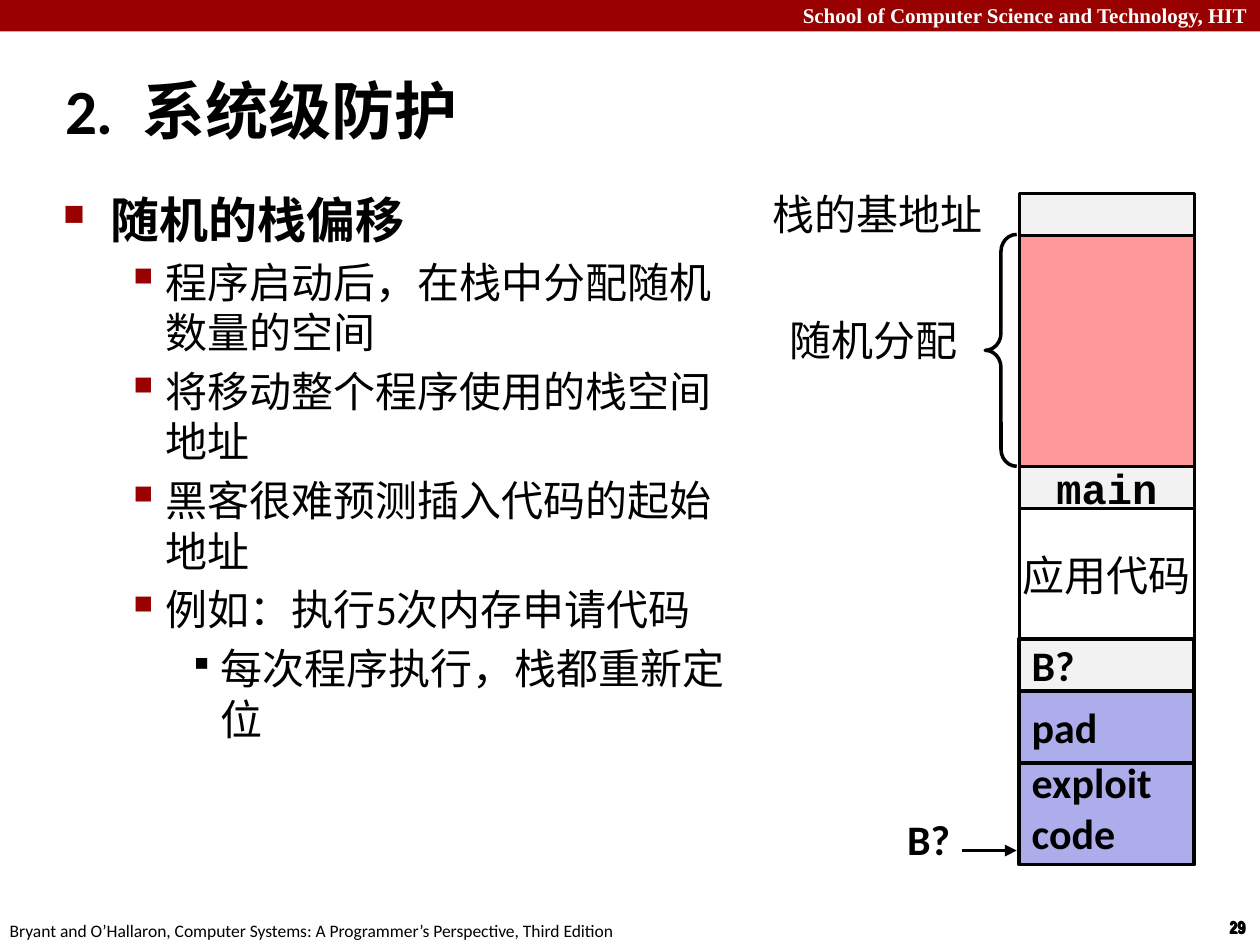
import pptx
import pptx.dml.color
import pptx.enum.shapes
import pptx.enum.text
import pptx.oxml
import pptx.oxml.ns
import pptx.util

Pt = pptx.util.Pt
ALIGN = pptx.enum.text.PP_ALIGN
ANCHOR = pptx.enum.text.MSO_ANCHOR
SHAPE = pptx.enum.shapes.MSO_SHAPE
NAMESPACE = pptx.oxml.ns.nsdecls("a")
CJK = "Noto Sans CJK SC"
RED, BLACK, WHITE, GREY, PINK, LILAC = "990000", "000000", "FFFFFF", "F2F2F2", "FF9999", "ADADEB"
STACK_LEFT, STACK_WIDTH = 582.5, 100


def rgb(value):
    """Return the colour for a hex string."""
    return pptx.dml.color.RGBColor.from_string(value)


def add_xml(parent, markup):
    """Append a drawing element to a parent element."""
    parent.append(pptx.oxml.parse_xml(markup.replace("/>", f" {NAMESPACE}/>", 1)
                                      if markup.endswith("/>") and markup.count("<") == 1
                                      else markup.replace(">", f" {NAMESPACE}>", 1)))


def write(paragraph, text, size=24, font="Calibri", color=BLACK, bold=False,
          align=ALIGN.LEFT, before=0):
    """Write formatted text into a paragraph and return its run."""
    paragraph.alignment = align
    paragraph.space_before = Pt(before)
    run = paragraph.add_run()
    run.text = text
    run.font.size = Pt(size)
    run.font.name = font
    run.font.bold = bold
    run.font.color.rgb = rgb(color)
    return run


def set_frame(shape, anchor=ANCHOR.TOP, wrap=True, inset=None):
    """Set anchor, wrapping and insets, and return the text frame."""
    frame = shape.text_frame
    frame.auto_size = pptx.enum.text.MSO_AUTO_SIZE.NONE
    frame.word_wrap = wrap
    frame.vertical_anchor = anchor
    if inset is not None:
        frame.margin_left = frame.margin_right = Pt(inset)
        frame.margin_top = frame.margin_bottom = Pt(inset)
    return frame


def add_label(slide, box, text, wrap=False, inset=None, anchor=ANCHOR.TOP, **format):
    """Add a text box holding one line."""
    shape = slide.shapes.add_textbox(*map(Pt, box))
    frame = set_frame(shape, anchor, wrap, inset)
    write(frame.paragraphs[0], text, **format)


def add_box(slide, box, fill, line=None, lines=(), inset=None, **format):
    """Add a filled rectangle with optional centred-height text lines."""
    shape = slide.shapes.add_shape(SHAPE.RECTANGLE, *map(Pt, box))
    shape.shadow.inherit = False
    shape.fill.solid()
    shape.fill.fore_color.rgb = rgb(fill)
    if line:
        shape.line.color.rgb = rgb(BLACK)
        shape.line.width = Pt(line)
    else:
        shape.line.fill.background()
    frame = set_frame(shape, ANCHOR.MIDDLE, inset=inset)
    for index, text in enumerate(lines):
        paragraph = frame.add_paragraph() if index else frame.paragraphs[0]
        write(paragraph, text, **format)


def add_bullet(paragraph, character, percent, color, margin, hanging):
    """Give a paragraph a hanging bullet."""
    properties = paragraph._p.get_or_add_pPr()
    properties.set("marL", str(Pt(margin)))
    properties.set("indent", str(-Pt(hanging)))
    add_xml(properties, f'<a:buClr><a:srgbClr val="{color}"/></a:buClr>')
    add_xml(properties, f'<a:buSzPct val="{percent * 1000}"/>')
    add_xml(properties, f'<a:buChar char="{character}"/>')


def add_title(slide):
    """Place the title with a widened gap after its number."""
    title = slide.shapes.title
    title.left, title.top, title.width, title.height = map(Pt, (30, 41.5, 636, 42))
    paragraph = set_frame(title, ANCHOR.MIDDLE).paragraphs[0]
    properties = paragraph._p.get_or_add_pPr()
    properties.set("marL", str(Pt(9)))
    properties.set("indent", str(-Pt(9)))
    for text, spacing in (("2.", 0), (" ", 8), ("系统级防护", 0)):
        run = write(paragraph, text, size=36, bold=True)
        run._r.get_or_add_rPr().set("spc", str(spacing * 100))


def add_outline(slide):
    """Add the bulleted outline on the left."""
    styles = [("■", 60, RED, 27, 27), ("▪", 110, RED, 58.5, 22.5), ("▪", 80, BLACK, 90, 18)]
    items = [
        (0, "随机的栈偏移"),
        (1, "程序启动后，在栈中分配随机数量的空间"),
        (1, "将移动整个程序使用的栈空间地址"),
        (1, "黑客很难预测插入代码的起始地址"),
        (1, "例如：执行5次内存申请代码"),
        (2, "每次程序执行，栈都重新定位"),
    ]
    frame = set_frame(slide.shapes.add_textbox(Pt(29), Pt(104.5), Pt(403), Pt(382)))
    for index, (level, text) in enumerate(items):
        paragraph = frame.add_paragraph() if index else frame.paragraphs[0]
        paragraph.level = level
        write(paragraph, text, size=24 if level else 28, bold=level == 0,
              before=4.8 if index else 0)
        add_bullet(paragraph, *styles[level])


def add_stack(slide):
    """Add the memory stack column."""
    centred = {"align": ALIGN.CENTER, "inset": 0}
    code = {"font": "Courier New", "bold": True, **centred}
    strong = {"bold": True}
    cells = [
        (266.5, 24, GREY, 2, ["main"], code),
        (290.5, 76, WHITE, 2, ["应用代码"], {"font": CJK, **centred}),
        (110.5, 24, GREY, 2, [], {}),
        (134.5, 132, PINK, 2, [], {}),
        (365, 30, GREY, 2.25, ["B?"], strong),
        (428.5, 65.5, LILAC, 2.25, ["exploit", "code"], strong),
        (395, 41, LILAC, 2.25, ["pad"], strong),
    ]
    for top, height, fill, line, lines, format in cells:
        add_box(slide, (STACK_LEFT, top, STACK_WIDTH, height), fill, line, lines, **format)


def add_brace(slide):
    """Add the brace beside the random allocation."""
    brace = slide.shapes.add_shape(SHAPE.LEFT_BRACE, Pt(563), Pt(134), Pt(18), Pt(132.5))
    brace.shadow.inherit = False
    brace.adjustments[0] = 0.54
    brace.adjustments[1] = 0.5
    brace.fill.background()
    brace.line.color.rgb = rgb(BLACK)
    brace.line.width = Pt(2)


def add_arrow(slide, start, end):
    """Add a straight arrow between two points."""
    arrow = slide.shapes.add_connector(pptx.enum.shapes.MSO_CONNECTOR.STRAIGHT,
                                       *map(Pt, start + end))
    arrow.line.color.rgb = rgb(BLACK)
    arrow.line.width = Pt(2.25)
    add_xml(arrow.line._get_or_add_ln(), '<a:tailEnd type="triangle"/>')
    add_xml(arrow._element.spPr, "<a:effectLst/>")


def main():
    """Build and save the slide."""
    presentation = pptx.Presentation()
    presentation.slide_width, presentation.slide_height = Pt(720), Pt(540)
    slide = presentation.slides.add_slide(presentation.slide_layouts[5])
    add_box(slide, (0, 0, 720, 18), RED)
    add_label(slide, (0, -2, 720, 22), "School of Computer Science and Technology, HIT", wrap=True,
              size=12, font="Times New Roman", color=WHITE, bold=True, align=ALIGN.RIGHT)
    for left, top in ((695.5, 520.5), (695.5, 520), (696, 520.5)):
        add_label(slide, (left, top, 24.5, 19.5), "29", size=10, font="Arial Narrow", bold=True)
    add_label(slide, (-1.5, 522, 366, 19.5), "Bryant and O’Hallaron, Computer Systems: "
              "A Programmer’s Perspective, Third Edition", size=10)
    add_title(slide)
    add_outline(slide)
    add_stack(slide)
    add_brace(slide)
    for text, box in (("随机分配", (447, 176.5, 103, 35)), ("栈的基地址", (437, 104.5, 127.5, 35))):
        add_label(slide, box, text, inset=3, font=CJK, align=ALIGN.RIGHT)
    add_label(slide, (510.5, 461.5, 39.5, 36), "B?", anchor=ANCHOR.MIDDLE, bold=True,
              align=ALIGN.RIGHT)
    add_arrow(slide, (550, 486), (581, 486))
    presentation.save("out.pptx")


if __name__ == "__main__":
    main()
